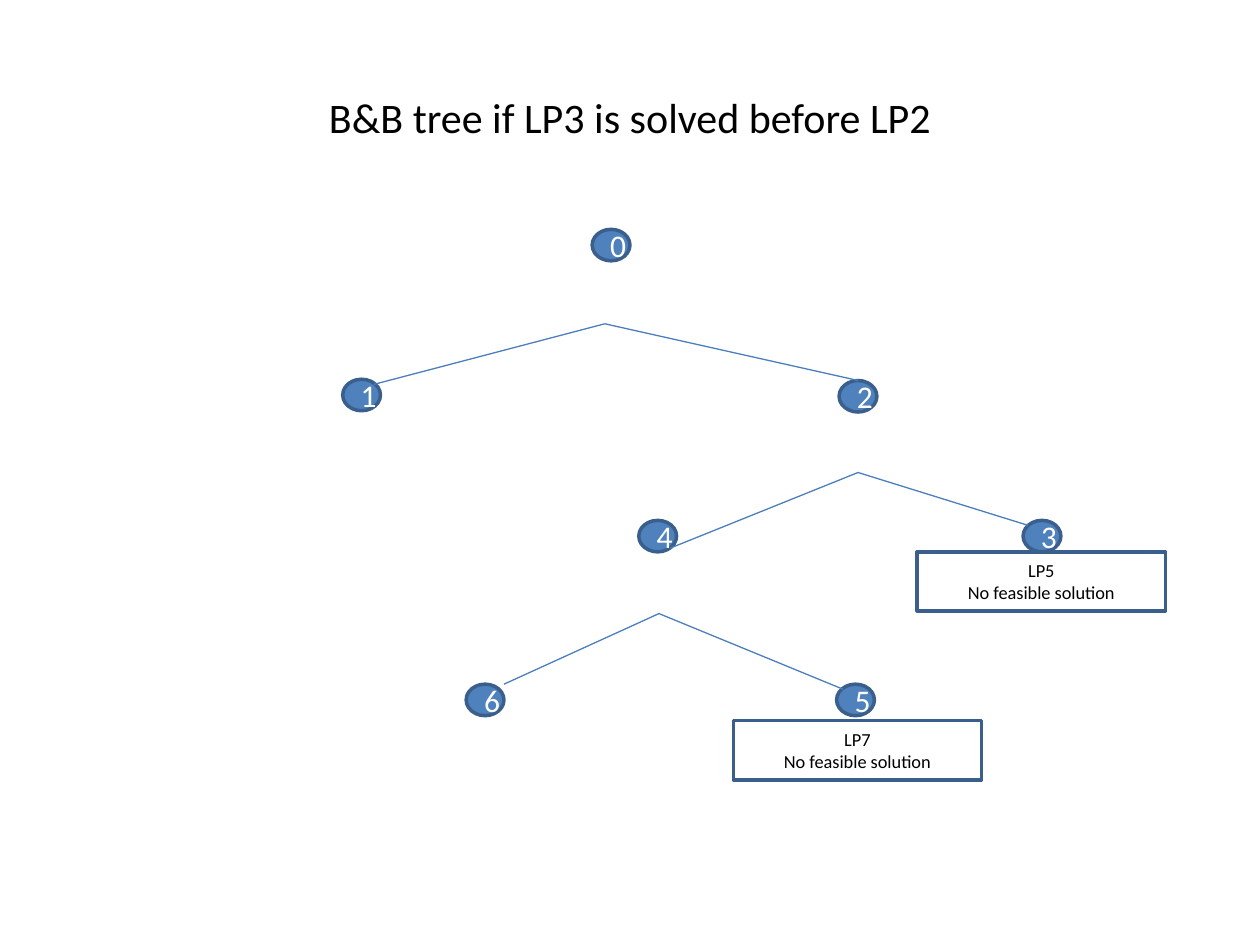
from dataclasses import dataclass

from lxml import etree
from pptx import Presentation
from pptx import util as u
from pptx.dml.color import RGBColor
from pptx.enum import shapes, text
from pptx.oxml import ns

SCALE = 9144  # EMU per px, at 100 px to the inch


@dataclass(frozen=True)
class Theme:
    font: str = "Calibri"
    ink: str = "000000"
    paper: str = "FFFFFF"
    node_fill: str = "4F81BD"
    outline: str = "3A5F8C"
    branch: str = "4B7EBC"
    title_size: float = 24
    node_size: float = 18
    note_size: float = 10.5
    outline_width: float = 2
    branch_width: float = 0.75


THEME = Theme()

NODE_SIZE = (30, 25)
NOTE_SIZE = (197, 47)

# Left and top of each numbered node
NODES = {
    "0": (470, 182),
    "1": (272, 301),
    "2": (666, 302),
    "4": (507, 413),
    "3": (812, 413),
    "5": (664, 543),
    "6": (370, 543),
}

# Left and top of each note, with its lines
NOTES = [
    (728, 438, ["LP5", "No feasible solution"]),
    (582, 572, ["LP7", "No feasible solution"]),
]

# Each fork point with the ends of its two branches
FORKS = [
    ((480, 257), [(297, 305), (681, 302)]),
    ((681, 375), [(532, 435), (816, 417)]),
    ((523, 487), [(400, 543), (669, 547)]),
]


def px(*lengths):
    return [u.Emu(length * SCALE) for length in lengths]


def color(value):
    return RGBColor.from_string(value)


def write(frame, lines, size, ink):
    frame.vertical_anchor = text.MSO_ANCHOR.MIDDLE
    for index, line in enumerate(lines):
        para = frame.add_paragraph() if index else frame.paragraphs[0]
        para.alignment = text.PP_ALIGN.CENTER
        span = para.add_run()
        span.text = line
        span.font.name = THEME.font
        span.font.size = u.Pt(size)
        span.font.color.rgb = color(ink)


def add_title(page, wording):
    title = page.shapes.title
    title.left, title.top, title.width, title.height = px(50, 30, 900, 125)
    write(title.text_frame, [wording], THEME.title_size, THEME.ink)


def add_outlined(page, kind, left, top, size):
    shape = page.shapes.add_shape(kind, *px(left, top, *size))
    shape.shadow.inherit = False
    shape.line.color.rgb = color(THEME.outline)
    shape.line.width = u.Pt(THEME.outline_width)
    return shape


def add_node(page, label, left, top):
    node = add_outlined(page, shapes.MSO_SHAPE.OVAL, left, top, NODE_SIZE)
    node.fill.solid()
    node.fill.fore_color.rgb = color(THEME.node_fill)
    write(node.text_frame, [label], THEME.node_size, THEME.paper)


def add_note(page, left, top, lines):
    note = add_outlined(page, shapes.MSO_SHAPE.RECTANGLE, left, top, NOTE_SIZE)
    note.fill.background()
    write(note.text_frame, lines, THEME.note_size, THEME.ink)


def add_branch(page, start, end):
    branch = page.shapes.add_connector(
        shapes.MSO_CONNECTOR.STRAIGHT, *px(*start, *end)
    )
    branch.line.color.rgb = color(THEME.branch)
    branch.line.width = u.Pt(THEME.branch_width)
    etree.SubElement(branch._element.spPr, ns.qn("a:effectLst"))


def main():
    deck = Presentation()
    deck.slide_width, deck.slide_height = px(1000, 750)
    page = deck.slides.add_slide(deck.slide_layouts[5])  # Title Only

    add_title(page, "B&B tree if LP3 is solved before LP2")

    # Notes lie behind the nodes
    for left, top, lines in NOTES:
        add_note(page, left, top, lines)

    # Tree
    for label, (left, top) in NODES.items():
        add_node(page, label, left, top)
    for fork, ends in FORKS:
        for end in ends:
            add_branch(page, fork, end)

    deck.save("out.pptx")


if __name__ == "__main__":
    main()
